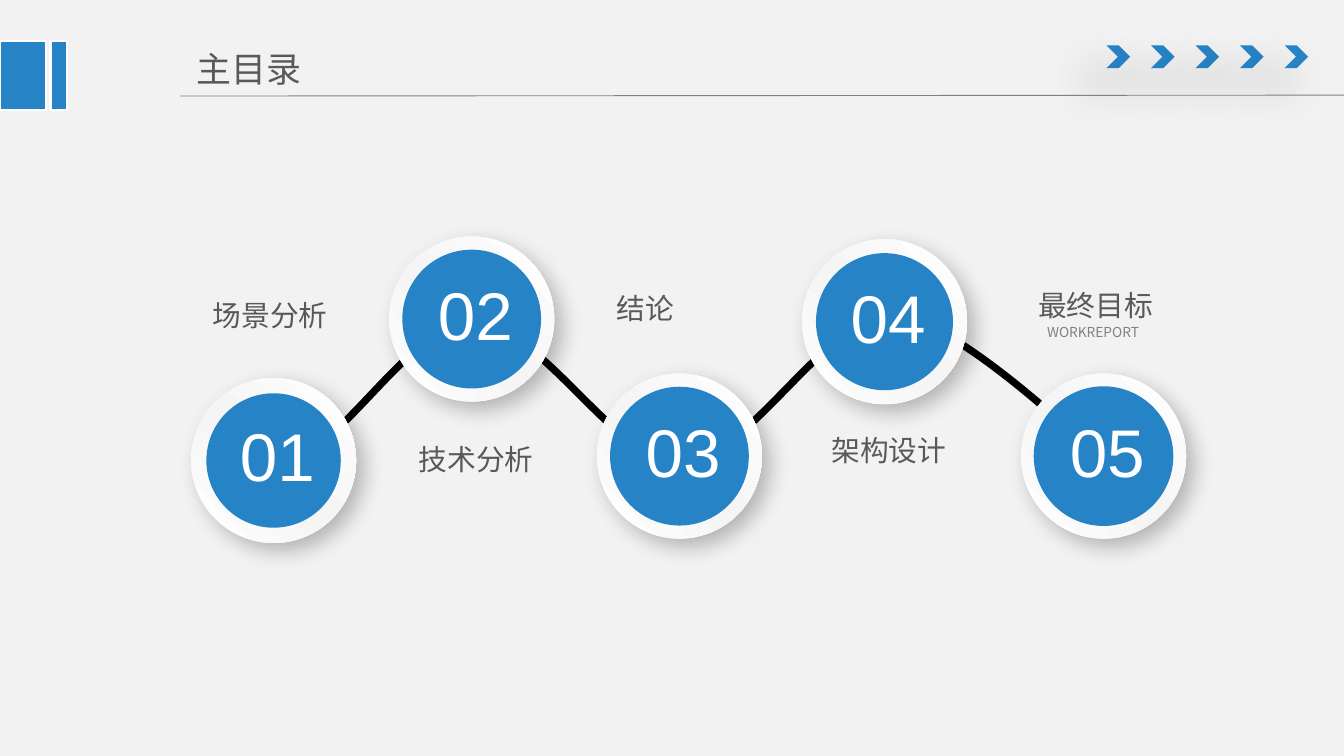
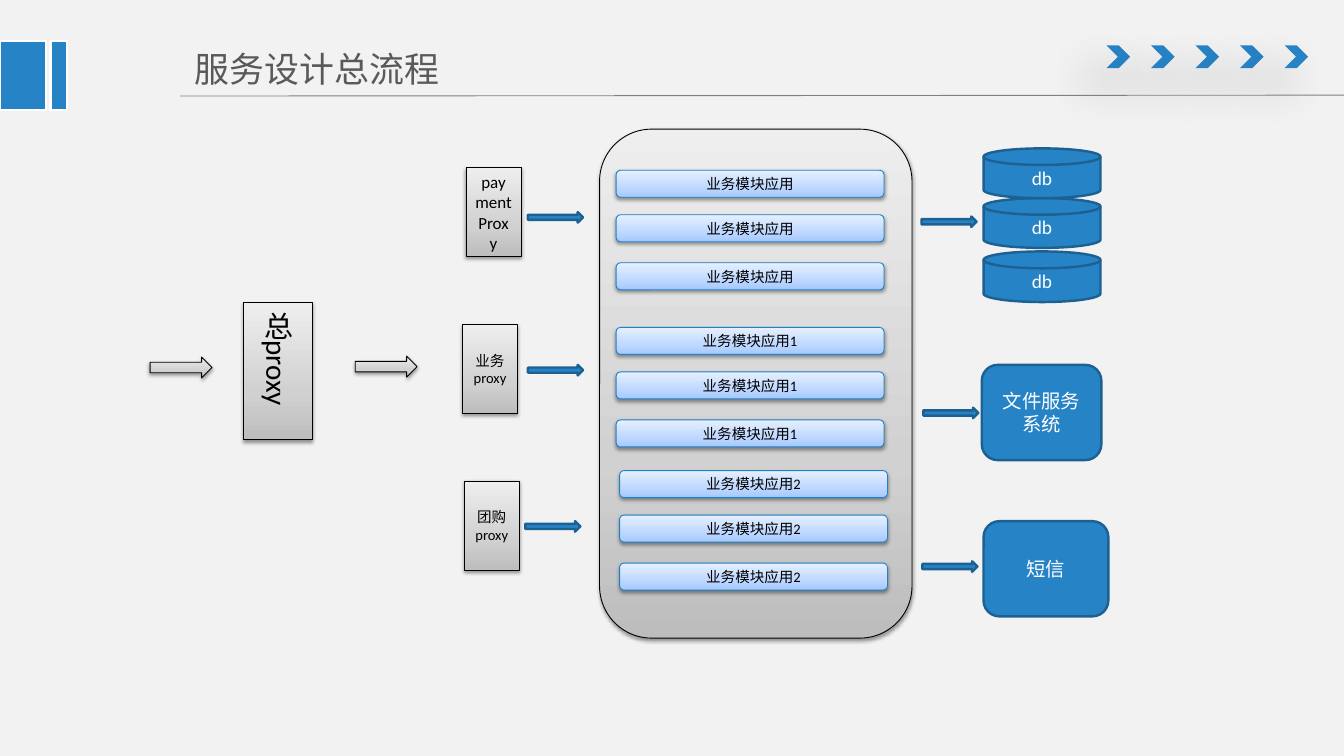
from lxml.etree import SubElement
from pptx import Presentation
from pptx.dml.color import RGBColor
from pptx.enum.shapes import MSO_CONNECTOR, MSO_SHAPE
from pptx.enum.text import MSO_ANCHOR, MSO_AUTO_SIZE, PP_ALIGN
from pptx.oxml.ns import qn
from pptx.util import Inches, Pt

BLUE, DARK_BLUE, MODULE_EDGE = "2683C6", "1C6192", "2181C6"
BLACK, WHITE, PAPER = "000000", "FFFFFF", "F2F2F2"
TEXT_GREY, SOFT_GREY = "595959", "808080"
CJK, LATIN, DIGITS = "Noto Sans CJK SC", "Calibri", "Arial"

GREY_GRADIENT = (90, [(0, "BDBDBD"), (35, "D1D1D1"), (100, "EEEEEE")])
BLUE_GRADIENT = (90, [(0, "A3C8FF"), (35, "BED8FF"), (100, "E6F0FF")])
RING_GRADIENT = (45, [(0, WHITE), (47, "F5F5F5"), (100, WHITE)])

CHEVRON_SHADOW = (38, 36, 24, 130)
RING_SHADOW = (25, 18, 9, 45)
BOX_SHADOW = (38, 3.1, 1.6, 90)

GREY_STYLE = dict(fill=GREY_GRADIENT, line=(BLACK, 0.75), shadow=BOX_SHADOW)
MODULE_STYLE = dict(fill=BLUE_GRADIENT, line=(MODULE_EDGE, 0.75), shadow=BOX_SHADOW)
BLUE_STYLE = dict(fill=BLUE, line=(DARK_BLUE, 2))


def rgb(code):
    return RGBColor.from_string(code)


def add_gradient(shape, angle, stops):
    shape.fill.gradient()
    shape.fill.gradient_angle = angle
    stop_list = shape.element.spPr.find(qn("a:gradFill")).find(qn("a:gsLst"))
    for stop in list(stop_list):
        stop_list.remove(stop)
    for position, code in stops:
        stop = SubElement(stop_list, qn("a:gs"), pos=str(position * 1000))
        SubElement(stop, qn("a:srgbClr"), val=code)


def add_shadow(shape, opacity, blur, distance, angle):
    effects = shape.element.spPr.find(qn("a:effectLst"))
    outer = SubElement(effects, qn("a:outerShdw"), blurRad=str(Pt(blur)),
                       dist=str(Pt(distance)), dir=str(angle * 60000),
                       algn="ctr", rotWithShape="0")
    color = SubElement(outer, qn("a:srgbClr"), val=BLACK)
    SubElement(color, qn("a:alpha"), val=str(opacity * 1000))


def add_block(slide, preset, box, fill, line=None, shadow=None):
    shape = slide.shapes.add_shape(preset, *map(Inches, box))
    shape.shadow.inherit = False
    if isinstance(fill, str):
        shape.fill.solid()
        shape.fill.fore_color.rgb = rgb(fill)
    else:
        add_gradient(shape, *fill)
    if line:
        code, width = line
        shape.line.color.rgb = rgb(code)
        shape.line.width = Pt(width)
    else:
        shape.line.fill.background()
    if shadow:
        add_shadow(shape, *shadow)
    return shape


def write(shape, text, size, color, font=CJK, align=PP_ALIGN.LEFT):
    frame = shape.text_frame
    frame.word_wrap = True
    paragraph = frame.paragraphs[0]
    paragraph.alignment = align
    run = paragraph.add_run()
    run.text = text
    run.font.size = Pt(size)
    run.font.name = font
    run.font.color.rgb = rgb(color)
    SubElement(run.font._element, qn("a:ea"), typeface=CJK)


def write_centred(shape, text, size, color):
    shape.text_frame.vertical_anchor = MSO_ANCHOR.MIDDLE
    write(shape, text, size, color, LATIN, PP_ALIGN.CENTER)


def add_label(slide, box, text, size, color, font=CJK):
    write(slide.shapes.add_textbox(*map(Inches, box)), text, size, color, font)


def add_arrow(slide, left, top):
    add_block(slide, MSO_SHAPE.RIGHT_ARROW, (left, top, 0.63, 0.12), **BLUE_STYLE)


def add_header(slide):
    for i in range(5):
        add_block(slide, MSO_SHAPE.CHEVRON, (12.68 + 0.51 * i, 0.52, 0.27, 0.26),
                  BLUE, shadow=CHEVRON_SHADOW)
    rule = slide.shapes.add_connector(MSO_CONNECTOR.STRAIGHT, Inches(2.06), Inches(1.1),
                                      Inches(15.4), Inches(1.09))
    rule.line.color.rgb = rgb(SOFT_GREY)
    rule.line.width = Pt(0.75)
    SubElement(rule.element.spPr, qn("a:effectLst"))
    for left, width in ((0, 0.53), (0.58, 0.19)):
        add_block(slide, MSO_SHAPE.RECTANGLE, (left, 0.47, width, 0.79), BLUE, (WHITE, 2))


def add_titled_slide(prs, heading, left):
    slide = prs.slides.add_slide(prs.slide_layouts[5])
    add_header(slide)
    title = slide.shapes.title
    title.left, title.top, title.width, title.height = map(Inches, (left, 0.47, 5.35, 0.63))
    frame = title.text_frame
    frame.auto_size = MSO_AUTO_SIZE.NONE
    frame.vertical_anchor = MSO_ANCHOR.MIDDLE
    frame.margin_left = frame.margin_right = Inches(0.14)
    frame.margin_top = frame.margin_bottom = Inches(0.07)
    write(title, heading, 28.8, TEXT_GREY)
    return slide


def add_wave(slide, start, points, color, width):
    builder = slide.shapes.build_freeform(*map(Inches, start), scale=1.0)
    builder.add_line_segments([tuple(map(Inches, point)) for point in points], close=False)
    wave = builder.convert_to_shape()
    outline = next(wave.element.iter(qn("a:path")))
    segments = outline.findall(qn("a:lnTo"))
    for i in range(0, len(segments), 3):
        curve = SubElement(outline, qn("a:cubicBezTo"))
        for segment in segments[i:i + 3]:
            curve.append(segment[0])
            outline.remove(segment)
    wave.shadow.inherit = False
    wave.fill.background()
    wave.line.color.rgb = rgb(color)
    wave.line.width = Pt(width)


def add_node(slide, number, left, top, disc):
    ring = 1.89
    gap = (ring - disc) / 2
    add_block(slide, MSO_SHAPE.OVAL, (left, top, ring, ring), RING_GRADIENT,
              shadow=RING_SHADOW)
    add_block(slide, MSO_SHAPE.OVAL, (left + gap, top + gap, disc, disc), BLUE)
    add_label(slide, (left + 0.46, top + 0.37, 1.14, 1.07), number, 55.6, WHITE, DIGITS)


def build_contents(prs):
    slide = add_titled_slide(prs, "主目录", 2.11)
    for topic, left, top in (("场景分析", 2.34, 3.36), ("技术分析", 4.7, 5.01),
                             ("结论", 6.97, 3.28), ("架构设计", 9.43, 4.91),
                             ("最终目标", 11.8, 3.25)):
        add_label(slide, (left, top, 1.73, 0.5), topic, 23.7, TEXT_GREY)
    add_label(slide, (11.9, 3.66, 1.45, 0.3), "WORKREPORT", 11.3, SOFT_GREY)
    add_wave(slide, (3.16, 5.3),
             [(3.87, 5.31), (4.65, 3.7), (5.42, 3.7),
              (6.2, 3.7), (7.05, 5.3), (7.79, 5.31),
              (8.57, 5.29), (9.44, 3.63), (10.21, 3.61),
              (10.94, 3.61), (12.56, 5.22), (12.56, 5.2)], BLACK, 6)
    for node in (("01", 2.19, 4.33, 1.54), ("02", 4.46, 2.71, 1.59),
                 ("03", 6.84, 4.28, 1.59), ("04", 9.19, 2.74, 1.57),
                 ("05", 11.7, 4.28, 1.6)):
        add_node(slide, *node)


def build_service_flow(prs):
    slide = add_titled_slide(prs, "服务设计总流程", 2.09)
    add_block(slide, MSO_SHAPE.ROUNDED_RECTANGLE, (6.87, 1.48, 3.58, 5.83), **GREY_STYLE)

    for left, top in ((1.72, 4.09), (4.07, 4.08)):
        add_block(slide, MSO_SHAPE.RIGHT_ARROW, (left, top, 0.71, 0.24), **GREY_STYLE)
    gateway = add_block(slide, MSO_SHAPE.RECTANGLE, (2.79, 3.47, 0.79, 1.57), **GREY_STYLE)
    gateway.text_frame._txBody.bodyPr.set("vert", "eaVert")
    write_centred(gateway, "总proxy", 24, BLACK)

    for text, left, top, size in (("paymentProxy", 5.34, 1.92, 14),
                                  ("业务proxy", 5.3, 3.72, 12),
                                  ("团购proxy", 5.32, 5.51, 12)):
        proxy = add_block(slide, MSO_SHAPE.RECTANGLE, (left, top, 0.63, 1.02), **GREY_STYLE)
        write_centred(proxy, text, size, BLACK)

    for suffix, left, top in (("", 7.06, 1.95), ("1", 7.06, 3.75), ("2", 7.1, 5.39)):
        for offset in (0, 0.51, 1.06):
            module = add_block(slide, MSO_SHAPE.ROUNDED_RECTANGLE,
                               (left, top + offset, 3.07, 0.31), **MODULE_STYLE)
            write_centred(module, "业务模块应用" + suffix, 12, BLACK)

    disk, rounded = MSO_SHAPE.FLOWCHART_MAGNETIC_DISK, MSO_SHAPE.ROUNDED_RECTANGLE
    for preset, text, box in ((disk, "db", (11.27, 2.88, 1.34, 0.58)),
                              (disk, "db", (11.27, 2.27, 1.34, 0.57)),
                              (disk, "db", (11.27, 1.7, 1.34, 0.57)),
                              (rounded, "文件服务系统", (11.25, 4.18, 1.37, 1.09)),
                              (rounded, "短信", (11.27, 5.97, 1.43, 1.09))):
        write_centred(add_block(slide, preset, box, **BLUE_STYLE), text, 16, WHITE)

    for left, top in ((6.05, 2.43), (6.05, 4.18), (6.02, 5.97),
                      (10.56, 2.48), (10.58, 4.67), (10.57, 6.43)):
        add_arrow(slide, left, top)


def main():
    prs = Presentation()
    prs.slide_width, prs.slide_height = Inches(15.4), Inches(8.66)
    backdrop = prs.slide_master.background.fill
    backdrop.solid()
    backdrop.fore_color.rgb = rgb(PAPER)
    build_contents(prs)
    build_service_flow(prs)
    prs.save("out.pptx")


if __name__ == "__main__":
    main()
